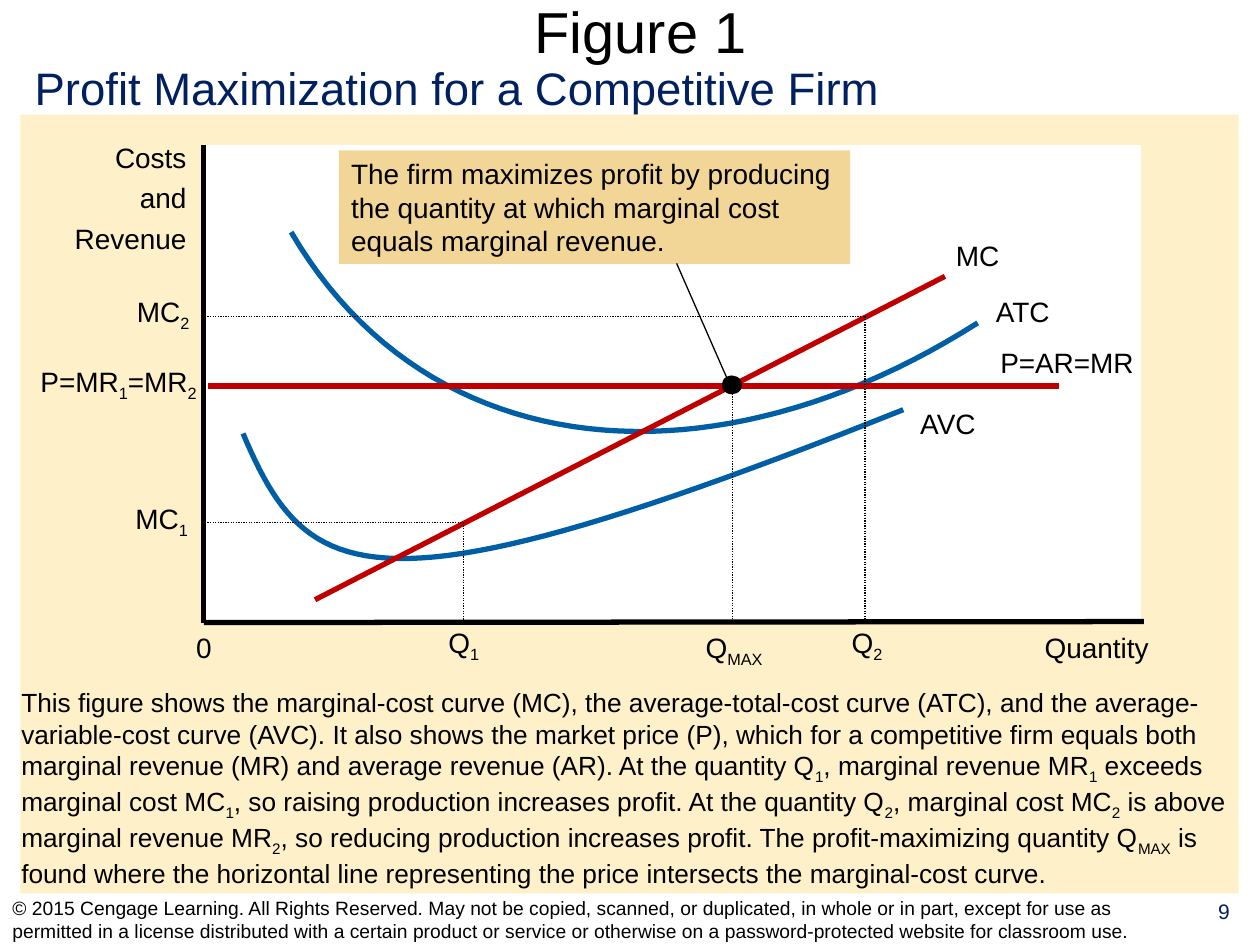
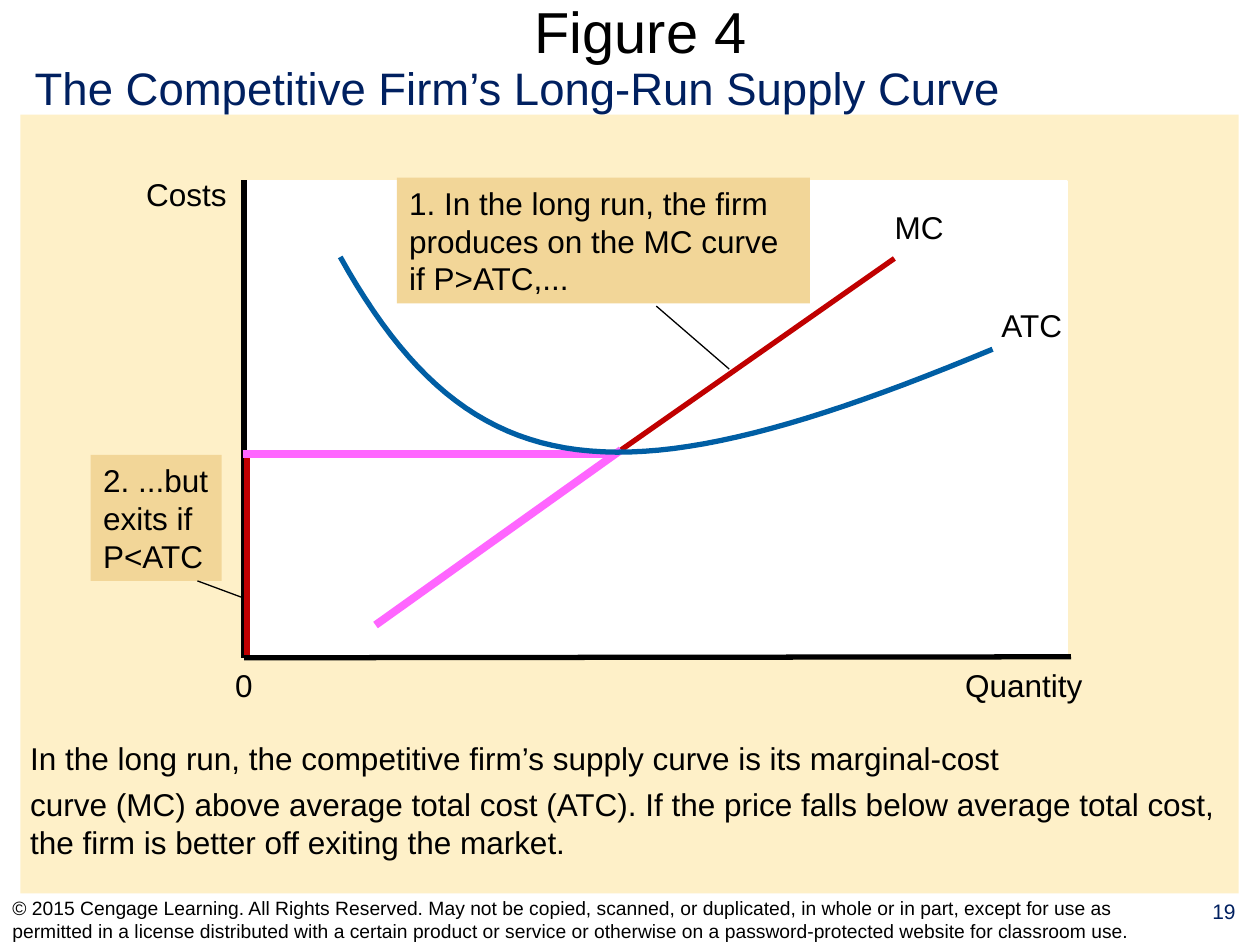
from pptx import Presentation
from pptx.dml.color import RGBColor
from pptx.enum.dml import MSO_LINE
from pptx.enum.shapes import MSO_CONNECTOR, MSO_SHAPE
from pptx.enum.text import MSO_ANCHOR, MSO_AUTO_SIZE, PP_ALIGN
from pptx.oxml.ns import qn
from pptx.util import Cm, Pt
from lxml import etree

LEFT, CENTER, RIGHT = PP_ALIGN.LEFT, PP_ALIGN.CENTER, PP_ALIGN.RIGHT
TOP, MIDDLE = MSO_ANCHOR.TOP, MSO_ANCHOR.MIDDLE
RECTANGLE, OVAL = MSO_SHAPE.RECTANGLE, MSO_SHAPE.OVAL
STRAIGHT, DOTTED = MSO_CONNECTOR.STRAIGHT, MSO_LINE.ROUND_DOT
NO_AUTOFIT = MSO_AUTO_SIZE.NONE

BLACK, WHITE, NAVY = "000000", "FFFFFF", "002060"
CREAM, TAN = "FEF0C8", "F2D698"
BLUE, RED, PINK = "005EA4", "C00000", "FF66FF"
FONT = "Arial"
TITLE_BOX = (0.89, 0, 24.05, 1.24)
SUBTITLE_BOX = (0.45, 1.08, 20, 1.37)
BAND_BOX = (0.41, 2.31, 24.56, 15.7)
FOOTER_BOX = (0, 18.03, 23.93, 1.02)
NUMBER_BOX = (23.95, 17.98, 1.45, 1.04)
CURVE_STEPS = 48
COPYRIGHT = (
    "© 2015 Cengage Learning. All Rights Reserved. May not be copied, scanned, or "
    "duplicated, in whole or in part, except for use as permitted in a license "
    "distributed with a certain product or service or otherwise on a "
    "password-protected website for classroom use."
)


def color(hex_code):
    """Turn a hex string into a colour."""
    return RGBColor.from_string(hex_code)


def lengths(values):
    """Turn centimetre values into lengths."""
    return [Cm(value) for value in values]


def within(box, left, top, width, height):
    """Move a box given relative to another box onto the slide."""
    return box[0] + left, box[1] + top, width, height


def write(shape, paragraphs, size, ink=BLACK, align=LEFT, anchor=TOP, wrap=True):
    """Fill a shape with paragraphs, where ~ marks switch subscript on and off."""
    frame = shape.text_frame
    settings = {"auto_size": NO_AUTOFIT, "word_wrap": wrap, "vertical_anchor": anchor}
    for name, value in settings.items():
        setattr(frame, name, value)
    for index, text in enumerate(paragraphs):
        para = frame.add_paragraph() if index else frame.paragraphs[0]
        para.alignment = align
        para.space_before = Pt(size / 4 if index else 0)
        for part, words in enumerate(text.split("~")):
            if not words:
                continue
            span = para.add_run()
            span.text = words
            for name, value in {"name": FONT, "size": Pt(size)}.items():
                setattr(span.font, name, value)
            span.font.color.rgb = color(ink)
            if part % 2:
                span.font._element.set("baseline", "-25000")


def add_text(slide, box, paragraphs, size, **style):
    """Add a text box."""
    write(slide.shapes.add_textbox(*lengths(box)), paragraphs, size, **style)


def add_block(slide, box, fill, kind=RECTANGLE):
    """Add a plain filled shape without outline."""
    block = slide.shapes.add_shape(kind, *lengths(box))
    block.shadow.inherit = False
    block.fill.solid()
    block.fill.fore_color.rgb = color(fill)
    block.line.fill.background()
    return block


def add_line(slide, box, start, end, ink=BLACK, width=3, dash=None):
    """Draw a straight line between two points of a box."""
    ends = [box[axis] + point[axis] for point in (start, end) for axis in (0, 1)]
    line = slide.shapes.add_connector(STRAIGHT, *lengths(ends))
    line.line.color.rgb = color(ink)
    line.line.width = Pt(width)
    if dash:
        line.line.dash_style = dash
    etree.SubElement(line._element.spPr, qn("a:effectLst"))


def add_curve(slide, box, *controls):
    """Draw a cubic curve through its four control points."""
    points = []
    for step in range(CURVE_STEPS + 1):
        t = step / CURVE_STEPS
        weights = ((1 - t) ** 3, 3 * t * (1 - t) ** 2, 3 * t * t * (1 - t), t ** 3)
        points.append(tuple(
            Cm(box[axis] + sum(w * point[axis] for w, point in zip(weights, controls)))
            for axis in (0, 1)
        ))
    builder = slide.shapes.build_freeform(*points[0])
    builder.add_line_segments(points[1:], close=False)
    curve = builder.convert_to_shape()
    curve.shadow.inherit = False
    curve.fill.background()
    curve.line.color.rgb = color(BLUE)
    curve.line.width = Pt(3)


def add_labels(slide, box, size, labels):
    """Write one-line labels, each given by text, centre, top and width."""
    for text, center, top, width in labels:
        place = within(box, center - width / 2, top, width, size * 0.057)
        add_text(slide, place, [text], size, align=CENTER, wrap=False)


def add_callout(slide, box, place, text, size, start, end):
    """Add a tan note and the thin line that points from it."""
    note = add_block(slide, within(box, *place), TAN)
    write(note, [text], size)
    add_line(slide, box, start, end, width=0.75)


def add_axes(slide, box, size, axis_words, axis_width):
    """Draw the white plot area with its two axes and their names."""
    width, height = box[2:]
    area = add_block(slide, box, WHITE)
    area.line.color.rgb = color(WHITE)
    area.line.width = Pt(2)
    corner = (-0.03, height + 0.02)
    add_line(slide, box, (-0.03, -0.03), corner)
    add_line(slide, box, corner, (width + 0.1, height))
    name_height = size * 0.057 * len(axis_words)
    name_box = within(box, -0.13 - axis_width, -0.25, axis_width, name_height)
    add_text(slide, name_box, axis_words, size, align=RIGHT, wrap=False)
    add_labels(slide, box, size, [
        ("0", -0.03, height + 0.06, 0.82),
        ("Quantity", width - 0.85, height + 0.06, size * 0.16),
    ])


def add_figure_slide(deck, title, subtitle, number):
    """Add a slide with the title, subtitle, band and footer."""
    slide = deck.slides.add_slide(deck.slide_layouts.get_by_name("Title Only"))
    add_block(slide, BAND_BOX, CREAM)
    heading = slide.shapes.title
    for name, value in zip(("left", "top", "width", "height"), lengths(TITLE_BOX)):
        setattr(heading, name, value)
    write(heading, [title], 33, align=CENTER, anchor=MIDDLE)
    add_text(slide, SUBTITLE_BOX, [subtitle], 26, ink=NAVY, wrap=False)
    add_text(slide, FOOTER_BOX, [COPYRIGHT], 11, anchor=MIDDLE)
    add_text(slide, NUMBER_BOX, [number], 12, ink=NAVY, align=CENTER)
    return slide


def draw_profit_maximization(slide, box):
    """Draw the cost curves, the price line and the best quantity."""
    size, floor, price = 16, box[3] + 0.02, 4.83
    add_axes(slide, box, size, ["Costs", "and", "Revenue"], 2.77)
    add_curve(slide, box, (1.73, 1.73), (4.52, 6.5), (10.31, 6.91), (15.57, 3.56))
    add_curve(slide, box, (0.76, 5.79), (2.06, 8.86), (3.33, 9.6), (14.07, 5.31))
    add_line(slide, box, (0.05, price), (17.2, price), RED)
    add_line(slide, box, (2.21, 9.14), (14.91, 2.62), RED)
    for quantity, cost in ((5.2, 7.59), (13.3, 3.43)):
        add_line(slide, box, (0.04, cost), (quantity, cost), width=0.75, dash=DOTTED)
        add_line(slide, box, (quantity, cost), (quantity, floor), width=0.75, dash=DOTTED)
    add_line(slide, box, (10.63, price), (10.63, floor), width=0.75, dash=DOTTED)
    add_labels(slide, box, size, [
        ("ATC", 16.48, 2.87, 1.63),
        ("AVC", 14.97, 5.13, 1.65),
        ("P=AR=MR", 17.37, 3.89, 3.2),
        ("P=MR~1~=MR~2~", -1.75, 4.27, 3.66),
        ("MC", 15.57, 1.73, 1.37),
        ("MC~1~", -0.88, 7.04, 1.55),
        ("MC~2~", -0.85, 2.87, 1.55),
        ("Q~1~", 5.21, 9.53, 1.12),
        ("Q~2~", 13.34, 9.53, 1.12),
        ("Q~MAX~", 10.66, 9.63, 1.65),
    ])
    add_block(slide, within(box, 10.41, 4.62, 0.41, 0.38), BLACK, OVAL)
    add_callout(
        slide, box, (2.69, 0.08, 10.31, 2.29),
        "The firm maximizes profit by producing the quantity at which marginal cost "
        "equals marginal revenue.",
        size, (9.5, 2.36), (10.57, 4.8),
    )


def draw_long_run_supply(slide, box):
    """Draw the long-run supply curve and the exit range."""
    size, price, turn = 18, 5.49, (7.57, 5.41)
    add_axes(slide, box, size, ["Costs"], 2.13)
    add_line(slide, box, turn, (13.08, 1.55), RED)
    add_line(slide, box, (2.62, 8.94), turn, PINK, 4.5)
    add_line(slide, box, (0.03, 9.55), (0.03, price), RED)
    add_line(slide, box, (-0.05, price), (7.49, price), PINK, 4.5)
    add_callout(
        slide, box, (3.05, -0.08, 8.33, 2.54),
        "1. In the long run, the firm produces on the MC curve if P>ATC,...",
        size, (8.28, 2.51), (9.75, 3.78),
    )
    add_callout(
        slide, box, (-3.12, 5.51, 2.64, 2.54), "2. ...but exits if P<ATC",
        size, (-0.97, 8.05), (-0.08, 8.38),
    )
    add_curve(slide, box, (1.91, 1.52), (4.57, 6.3), (7.62, 6.48), (15.06, 3.38))
    add_labels(slide, box, size, [("MC", 13.58, 0.41, 1.5), ("ATC", 15.85, 2.39, 1.78)])


def main():
    """Build both figure slides and save the deck."""
    deck = Presentation()
    deck.slide_width, deck.slide_height = Cm(25.4), Cm(19.05)

    slide = add_figure_slide(
        deck, "Figure 1", "Profit Maximization for a Competitive Firm", "9")
    draw_profit_maximization(slide, (4.14, 2.95, 18.82, 9.58))
    add_text(slide, (0.18, 13.72, 25.22, 4.34), [
        "This figure shows the marginal-cost curve (MC), the average-total-cost curve "
        "(ATC), and the average-variable-cost curve (AVC). It also shows the market "
        "price (P), which for a competitive firm equals both marginal revenue (MR) and "
        "average revenue (AR). At the quantity Q~1~, marginal revenue MR~1~ exceeds "
        "marginal cost MC~1~, so raising production increases profit. At the quantity "
        "Q~2~, marginal cost MC~2~ is above marginal revenue MR~2~, so reducing "
        "production increases profit. The profit-maximizing quantity Q~MAX~ is found "
        "where the horizontal line representing the price intersects the "
        "marginal-cost curve."
    ], 15)

    slide = add_figure_slide(
        deck, "Figure 4", "The Competitive Firm’s Long-Run Supply Curve", "19")
    draw_long_run_supply(slide, (4.95, 3.66, 16.54, 9.58))
    add_text(slide, (0.36, 14.78, 24.66, 2.72), [
        "In the long run, the competitive firm’s supply curve is its marginal-cost",
        "curve (MC) above average total cost (ATC). If the price falls below average "
        "total cost, the firm is better off exiting the market.",
    ], 18)

    deck.save("out.pptx")


if __name__ == "__main__":
    main()
